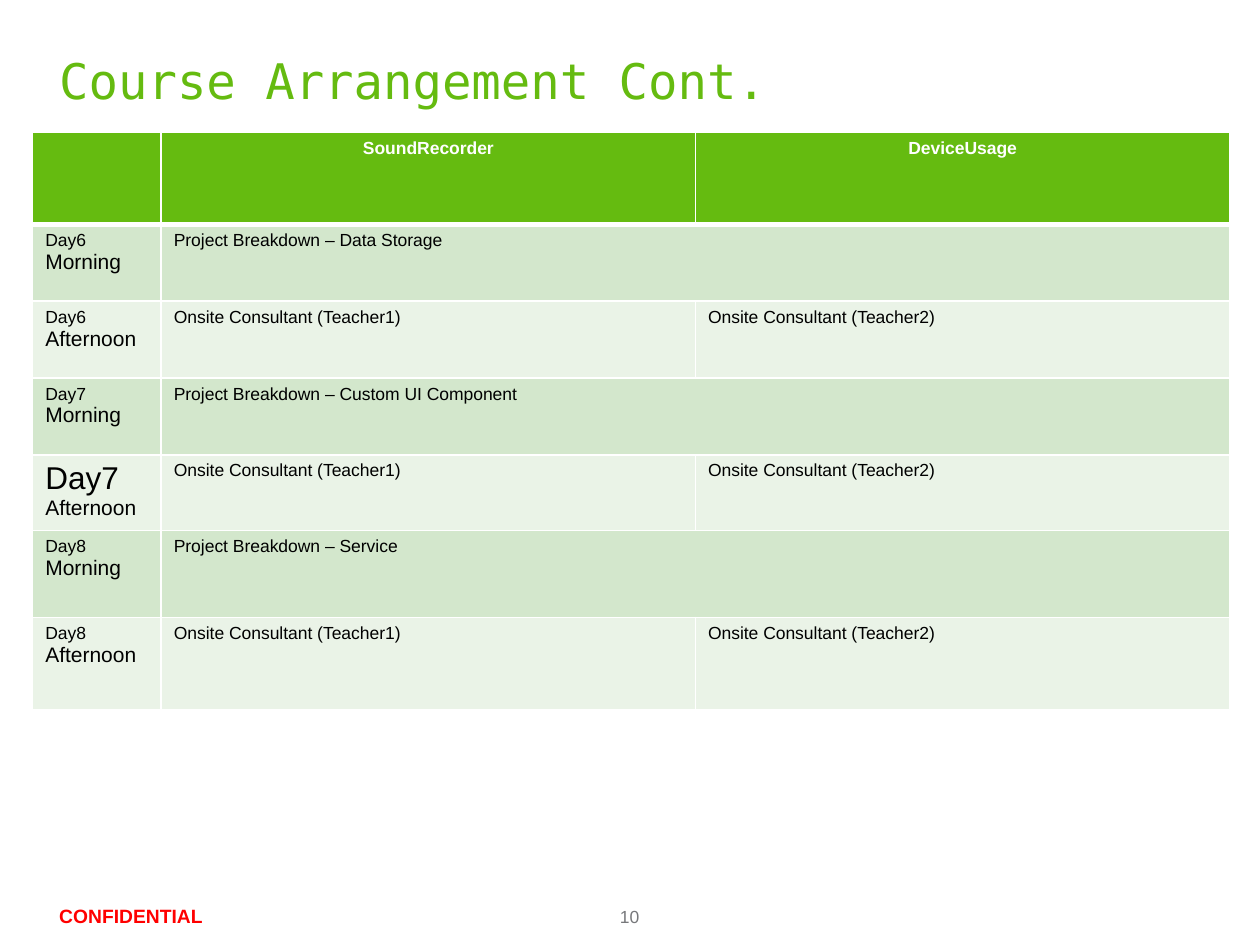
import dataclasses
import typing

import lxml.etree
import pptx
import pptx.dml.color
import pptx.enum.text
import pptx.oxml.ns
import pptx.util

Inches = pptx.util.Inches
Pt = pptx.util.Pt
Align = pptx.enum.text.PP_ALIGN


@dataclasses.dataclass(frozen=True)
class Theme:
    green: str = "65BB10"
    dark_band: str = "D3E7CC"
    pale_band: str = "EAF3E7"
    white: str = "FFFFFF"
    black: str = "000000"
    red: str = "FF0000"
    grey: str = "77787B"
    sans: str = "Arial"
    mono: str = "DejaVu Sans Mono"
    title: int = 28
    large: int = 18
    half: int = 12
    mark: int = 11
    small: int = 10
    line: int = 1
    rule: int = 3


THEME = Theme()


class Style(typing.NamedTuple):
    size: int
    color: str
    bold: bool = False
    face: str = THEME.sans


class Session(typing.NamedTuple):
    day: str
    half: str
    height: float
    topics: tuple[str, ...]
    day_size: int = THEME.small


class Label(typing.NamedTuple):
    text: str
    left: float
    width: float
    style: Style


COLS = (1.02, 4.24, 4.24)
HEADS = ("", "SoundRecorder", "DeviceUsage")
HEAD_HEIGHT = 0.73
ONSITE = ("Onsite Consultant (Teacher1)", "Onsite Consultant (Teacher2)")
SESSIONS = (
    Session("Day6", "Morning", 0.61, ("Project Breakdown – Data Storage",)),
    Session("Day6", "Afternoon", 0.61, ONSITE),
    Session("Day7", "Morning", 0.61, ("Project Breakdown – Custom UI Component",)),
    Session("Day7", "Afternoon", 0.59, ONSITE, THEME.large),
    Session("Day8", "Morning", 0.69, ("Project Breakdown – Service",)),
    Session("Day8", "Afternoon", 0.73, ONSITE),
)
LABELS = (
    Label("10", 4.92, 1.18, Style(THEME.small, THEME.grey)),
    Label("CONFIDENTIAL", 0.47, 1.45, Style(THEME.mark, THEME.red, True)),
)
PLAIN = Style(THEME.small, THEME.black)
HEAD = Style(THEME.small, THEME.white, True)


def rgb(color: str) -> pptx.dml.color.RGBColor:
    return pptx.dml.color.RGBColor.from_string(color)


def apply(target: typing.Any, values: dict[str, typing.Any]) -> None:
    for name, value in values.items():
        setattr(target, name, value)


def write(para: typing.Any, text: str, style: Style) -> None:
    run = para.add_run()
    run.text = text
    apply(run.font, {"name": style.face, "size": Pt(style.size), "bold": style.bold})
    run.font.color.rgb = rgb(style.color)


def strip(frame: typing.Any, **more: typing.Any) -> None:
    """Clear the margins of a text frame and set any other values."""
    sides = ("margin_left", "margin_top", "margin_right", "margin_bottom")
    apply(frame, dict.fromkeys(sides, 0) | {"word_wrap": True} | more)


def paint(cell: typing.Any, color: str, top: int, base: int) -> None:
    """Give a cell its borders, which must come before the fill in the XML."""
    props = cell._tc.get_or_add_tcPr()
    widths = {"L": THEME.line, "R": THEME.line, "T": top, "B": base}
    for side, width in widths.items():
        line = lxml.etree.SubElement(
            props, pptx.oxml.ns.qn(f"a:ln{side}"), w=str(Pt(width)))
        fill = lxml.etree.SubElement(line, pptx.oxml.ns.qn("a:solidFill"))
        lxml.etree.SubElement(fill, pptx.oxml.ns.qn("a:srgbClr"), val=THEME.white)
    cell.fill.solid()
    cell.fill.fore_color.rgb = rgb(color)


def add_label(slide: typing.Any, label: Label) -> None:
    box = slide.shapes.add_textbox(
        Inches(label.left), Inches(7.12), Inches(label.width), Inches(0.21))
    strip(box.text_frame)
    para = box.text_frame.paragraphs[0]
    para.line_spacing = Pt(17)
    write(para, label.text, label.style)


def add_title(slide: typing.Any, text: str) -> None:
    title = slide.shapes.title
    apply(title, {"left": Inches(0.47), "top": Inches(0.35),
                  "width": Inches(9.06), "height": Inches(0.57)})
    strip(title.text_frame,
          vertical_anchor=pptx.enum.text.MSO_ANCHOR.MIDDLE,
          auto_size=pptx.enum.text.MSO_AUTO_SIZE.NONE)
    para = title.text_frame.paragraphs[0]
    para.alignment = Align.LEFT
    write(para, text, Style(THEME.title, THEME.green, face=THEME.mono))


def fill_head(table: typing.Any) -> None:
    for col, text in enumerate(HEADS):
        cell = table.cell(0, col)
        paint(cell, THEME.green, THEME.line, THEME.rule)
        if text:
            para = cell.text_frame.paragraphs[0]
            para.alignment = Align.CENTER
            write(para, text, HEAD)


def fill_row(table: typing.Any, row: int, item: Session) -> None:
    band = THEME.dark_band if row % 2 else THEME.pale_band
    top = THEME.rule if row == 1 else THEME.line
    for col in range(len(COLS)):
        paint(table.cell(row, col), band, top, THEME.line)
    frame = table.cell(row, 0).text_frame
    write(frame.paragraphs[0], item.day, PLAIN._replace(size=item.day_size))
    write(frame.add_paragraph(), item.half, PLAIN._replace(size=THEME.half))
    if len(item.topics) == 1:
        table.cell(row, 1).merge(table.cell(row, 2))
    for col, text in enumerate(item.topics, 1):
        write(table.cell(row, col).text_frame.paragraphs[0], text, PLAIN)


def add_plan(slide: typing.Any) -> None:
    heights = (HEAD_HEIGHT, *(item.height for item in SESSIONS))
    table = slide.shapes.add_table(
        len(heights), len(COLS), Inches(0.26), Inches(1.05),
        Inches(sum(COLS)), Inches(sum(heights))).table
    for col, width in zip(table.columns, COLS):
        col.width = Inches(width)
    for row, height in zip(table.rows, heights):
        row.height = Inches(height)
    fill_head(table)
    for row, item in enumerate(SESSIONS, 1):
        fill_row(table, row, item)


def main() -> None:
    deck = pptx.Presentation()
    apply(deck, {"slide_width": Inches(10), "slide_height": Inches(7.5)})
    slide = deck.slides.add_slide(deck.slide_layouts.get_by_name("Title Only"))
    for label in LABELS:
        add_label(slide, label)
    add_title(slide, "Course Arrangement Cont.")
    add_plan(slide)
    deck.save("out.pptx")


if __name__ == "__main__":
    main()
